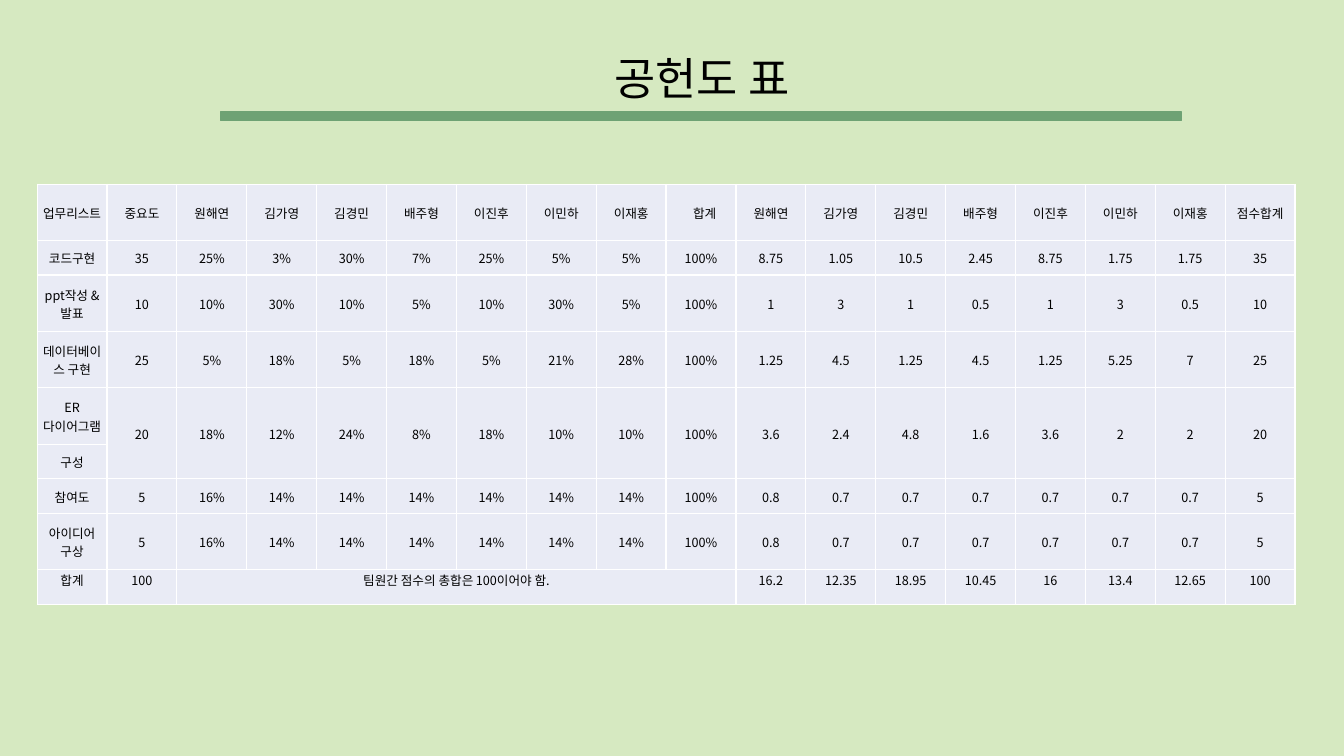
"""Build the contribution table slide for a seven-member team project."""
from dataclasses import dataclass

from lxml.etree import SubElement
from pptx import Presentation
from pptx.dml.color import RGBColor as Rgb
from pptx.enum.shapes import MSO_SHAPE as Preset
from pptx.enum.text import MSO_ANCHOR as Anchor, MSO_AUTO_SIZE as AutoSize, PP_ALIGN as Align
from pptx.oxml.ns import qn
from pptx.util import Pt


@dataclass(frozen=True)
class Theme:
    font: str = "Noto Sans CJK KR"
    title_size: int = 32
    cell_size: int = 9
    background: str = "D6E9C1"
    accent: str = "6EA274"
    cell: str = "E9EBF5"
    border: str = "FFFFFF"
    text: str = "000000"


theme = Theme()


def style_text(frame, size):
    for paragraph in frame.paragraphs:
        paragraph.alignment = Align.CENTER
        for run in paragraph.runs:
            run.font.size = Pt(size)
            run.font.name = theme.font
            run.font.color.rgb = Rgb.from_string(theme.text)
            SubElement(run.font._element, qn("a:ea"), typeface=theme.font)


def add_borders(cell):
    properties = cell._tc.get_or_add_tcPr()
    for side in ("a:lnL", "a:lnR", "a:lnT", "a:lnB"):
        line = SubElement(properties, qn(side), w=str(Pt(1)))
        SubElement(SubElement(line, qn("a:solidFill")), qn("a:srgbClr"), val=theme.border)


members = ["원해연", "김가영", "김경민", "배주형", "이진후", "이민하", "이재홍"]
tasks = [
    ("코드구현", 35, [25, 3, 30, 7, 25, 5, 5]),
    ("ppt작성 & 발표", 10, [10, 30, 10, 5, 10, 30, 5]),
    ("데이터베이스 구현", 25, [5, 18, 5, 18, 5, 21, 28]),
    ("ER다이어그램", 20, [18, 12, 24, 8, 18, 10, 10]),
    ("참여도", 5, [16, 14, 14, 14, 14, 14, 14]),
    ("아이디어 구상", 5, [16, 14, 14, 14, 14, 14, 14]),
]

rows = [["업무리스트", "중요도", *members, "합계", *members, "점수합계"]]
totals = [0] * len(members)
for task, weight, shares in tasks:
    scores = [weight * share / 100 for share in shares]
    totals = [total + score for total, score in zip(totals, scores)]
    rows.append([task, str(weight), *(f"{share}%" for share in shares), f"{sum(shares)}%",
                 *(f"{score:g}" for score in scores), f"{sum(scores):g}"])
diagram_row = 4
rows.insert(diagram_row + 1, ["구성"] + [""] * 17)
rows.append(["합계", "100", "팀원간 점수의 총합은 100이어야 함.", *[""] * len(members),
             *(f"{total:g}" for total in totals), f"{sum(totals):g}"])

deck = Presentation()
deck.slide_width, deck.slide_height = Pt(960), Pt(540)
slide = deck.slides.add_slide(deck.slide_layouts[6])
slide.background.fill.solid()
slide.background.fill.fore_color.rgb = Rgb.from_string(theme.background)

underline = slide.shapes.add_shape(Preset.RECTANGLE, Pt(157.5), Pt(80), Pt(686.5), Pt(6))
underline.shadow.inherit = False
underline.fill.solid()
underline.fill.fore_color.rgb = Rgb.from_string(theme.accent)
underline.line.color.rgb = Rgb.from_string(theme.accent)
underline.line.width = Pt(1)

title = slide.shapes.add_textbox(Pt(334), Pt(33), Pt(335), Pt(46)).text_frame
title.word_wrap = True
title.auto_size = AutoSize.SHAPE_TO_FIT_TEXT
title.text = "공헌도 표"
style_text(title, theme.title_size)

tall, short = 40.3, 24.7
heights = [tall, short, tall, tall, tall, short, short, tall, short]
column_width = 49.92
column_count = len(rows[0])
table = slide.shapes.add_table(len(rows), column_count, Pt(26.5), Pt(131.5),
                               Pt(column_width * column_count), Pt(sum(heights))).table
table.first_row = False
table.horz_banding = False
for column in table.columns:
    column.width = Pt(column_width)
for row, height in zip(table.rows, heights):
    row.height = Pt(height)

total_row = len(rows) - 1
for column in range(1, column_count):
    table.cell(diagram_row, column).merge(table.cell(diagram_row + 1, column))
table.cell(total_row, 2).merge(table.cell(total_row, 9))

for row_index, values in enumerate(rows):
    for column, value in enumerate(values):
        cell = table.cell(row_index, column)
        add_borders(cell)
        cell.fill.solid()
        cell.fill.fore_color.rgb = Rgb.from_string(theme.cell)
        cell.margin_left = cell.margin_right = cell.margin_top = Pt(0.7)
        cell.margin_bottom = 0
        cell.vertical_anchor = Anchor.TOP if row_index == total_row else Anchor.MIDDLE
        if value:
            cell.text_frame.text = value
            style_text(cell.text_frame, theme.cell_size)
table.cell(0, 9).margin_left = Pt(6)

deck.save("out.pptx")
